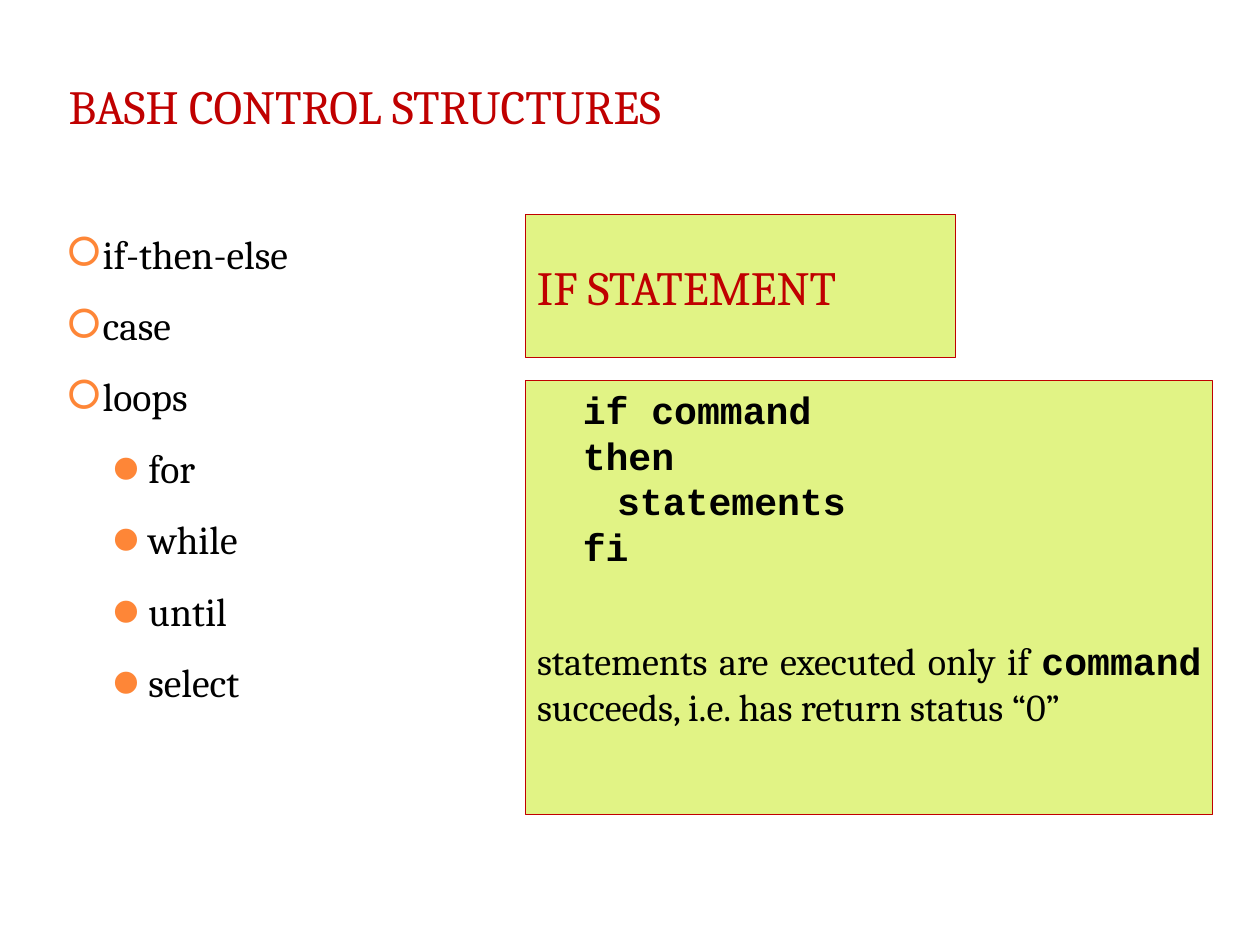
from lxml.etree import SubElement
from pptx import Presentation
from pptx.dml.color import RGBColor
from pptx.enum.shapes import MSO_SHAPE
from pptx.enum.text import MSO_ANCHOR, MSO_AUTO_SIZE, PP_ALIGN
from pptx.oxml.ns import qn
from pptx.util import Inches, Pt

COLORS = {"red": "C00000", "green": "E1F385", "orange": "FE8637", "black": "000000"}


def add_text(tf, runs, size=24, color="black", align=PP_ALIGN.LEFT, left=0,
             indent=0, spacing=1.0, before=0, bullet=None, level=0):
    p = tf.paragraphs[0]
    if p.runs:
        p = tf.add_paragraph()
    p.alignment = align
    p.level = level
    p.line_spacing = spacing
    p.space_before = Pt(before)
    pPr = p._p.get_or_add_pPr()
    pPr.set("marL", str(Inches(left)))
    pPr.set("indent", str(Inches(indent)))
    if bullet:
        clr = SubElement(pPr, qn("a:buClr"))
        SubElement(clr, qn("a:srgbClr"), val=COLORS["orange"])
        SubElement(pPr, qn("a:buFont"), typeface="Cambria")
        SubElement(pPr, qn("a:buChar"), char=bullet)
    for text, font, bold in runs:
        r = p.add_run()
        r.text = text
        r.font.name = font
        r.font.size = Pt(size)
        r.font.bold = bold
        r.font.color.rgb = RGBColor.from_string(COLORS[color])


def add_panel(s, left, top, width, height, anchor):
    sp = s.shapes.add_shape(MSO_SHAPE.RECTANGLE, Inches(left), Inches(top),
                            Inches(width), Inches(height))
    sp.shadow.inherit = False
    sp.fill.solid()
    sp.fill.fore_color.rgb = RGBColor.from_string(COLORS["green"])
    sp.line.color.rgb = RGBColor.from_string(COLORS["red"])
    sp.line.width = Pt(0.75)
    tf = sp.text_frame
    tf.word_wrap = True
    tf.vertical_anchor = anchor
    return tf


prs = Presentation()
prs.slide_width = Inches(28 / 2.54)
prs.slide_height = Inches(21 / 2.54)
s = prs.slides.add_slide(prs.slide_layouts[5])

title = s.shapes.title
title.left, title.top = Inches(0.5), Inches(0.3)
title.width, title.height = Inches(8.17), Inches(1.25)
tf = title.text_frame
tf.auto_size = MSO_AUTO_SIZE.NONE
tf.vertical_anchor = MSO_ANCHOR.MIDDLE
add_text(tf, [("BASH CONTROL STRUCTURES", "Cambria", False)], size=30, color="red")

box = s.shapes.add_textbox(Inches(0.5), Inches(1.75), Inches(2.51), Inches(5.33))
tf = box.text_frame
tf.word_wrap = True
structures = [("if-then-else", 0), ("case", 0), ("loops", 0),
              ("for", 1), ("while", 1), ("until", 1), ("select", 1)]
for name, level in structures:
    add_text(tf, [(name, "Cambria", False)], size=25, left=0.3 + 0.4 * level,
             indent=-0.3, spacing=1.5, bullet="🞆⚫"[level], level=level)

tf = add_panel(s, 4.6, 1.88, 3.76, 1.25, MSO_ANCHOR.MIDDLE)
add_text(tf, [("IF STATEMENT", "Cambria", False)], size=30, color="red")

tf = add_panel(s, 4.6, 3.33, 6.01, 3.8, MSO_ANCHOR.TOP)
for line, left in [("if command", 0.4), ("then", 0.4), ("statements", 0.7), ("fi", 0.4)]:
    add_text(tf, [(line, "Courier New", True)], align=PP_ALIGN.JUSTIFY, left=left)
add_text(tf, [("statements are executed only if ", "Cambria", False),
              ("command", "Courier New", True),
              (" succeeds, i.e. has return status “0”", "Cambria", False)],
         align=PP_ALIGN.JUSTIFY, before=43)

prs.save("out.pptx")
